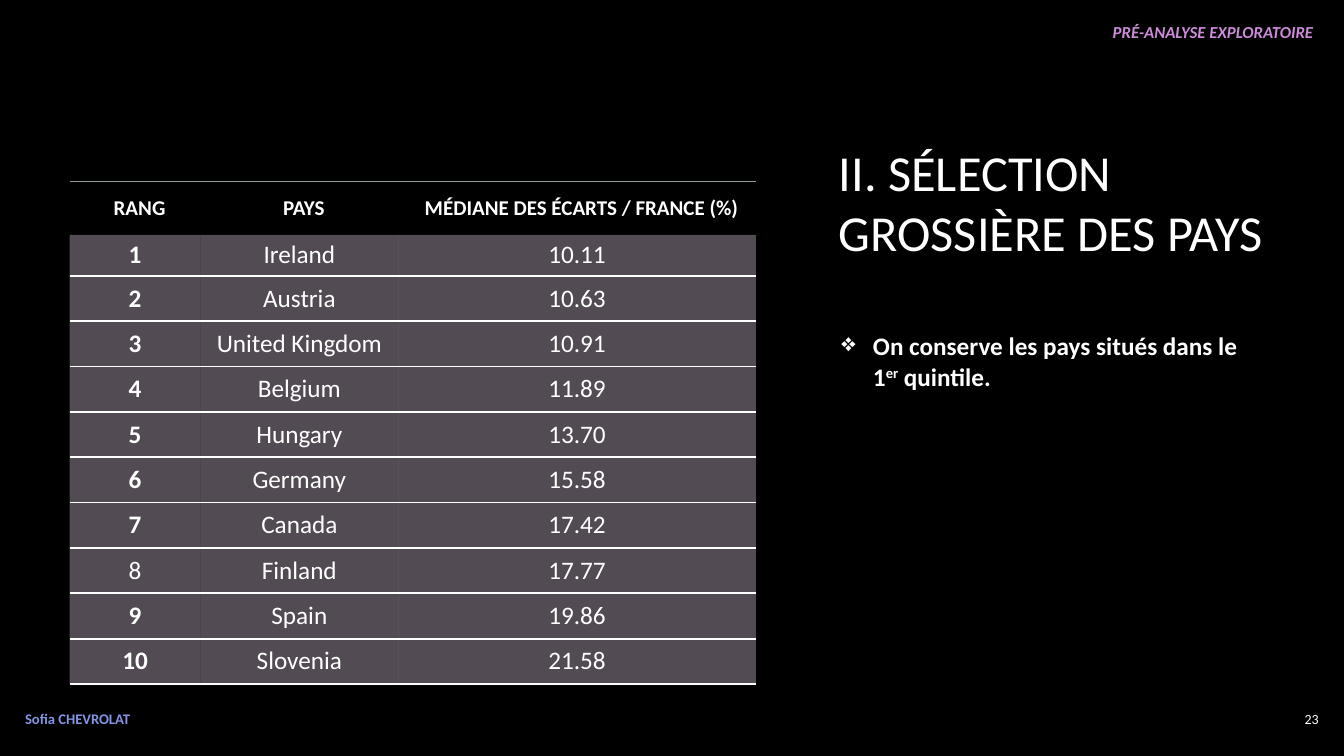
"""Build the slide that ranks the ten countries closest to France."""
from lxml import etree
from pptx import Presentation
from pptx.dml.color import RGBColor
from pptx.enum import text as t
from pptx.oxml import ns
from pptx.util import Pt

BLACK = RGBColor(0x00, 0x00, 0x00)
WHITE = RGBColor(0xFF, 0xFF, 0xFF)
MAUVE = RGBColor(0xEE, 0xD8, 0xF3)
SLATE = RGBColor(0x8F, 0x9A, 0x9D)
ORCHID = RGBColor(0xCD, 0x8B, 0xDA)
PERIWINKLE = RGBColor(0x83, 0x94, 0xE4)
LEFT, CENTER, RIGHT = t.PP_ALIGN.LEFT, t.PP_ALIGN.CENTER, t.PP_ALIGN.RIGHT
TOP, MIDDLE = t.MSO_ANCHOR.TOP, t.MSO_ANCHOR.MIDDLE
PLAIN_TABLE = "{2D5ABB26-0587-4C30-8999-92F81FD0307C}"

HEADINGS = ("RANG", "PAYS", "MÉDIANE DES ÉCARTS / FRANCE (%)")
COUNTRIES = (
    ("Ireland", "10.11"), ("Austria", "10.63"), ("United Kingdom", "10.91"),
    ("Belgium", "11.89"), ("Hungary", "13.70"), ("Germany", "15.58"),
    ("Canada", "17.42"), ("Finland", "17.77"), ("Spain", "19.86"),
    ("Slovenia", "21.58"),
)
LIGHT_RANK = 8
COLUMN_WIDTHS = (93.6, 141.1, 255.6)
HEADING_HEIGHT, FIRST_HEIGHT, ROW_HEIGHT = 38.2, 28.8, 32.4


def apply(target, values):
    """Set each attribute of target from a dict."""
    for name, value in values.items():
        setattr(target, name, value)


def add_run(paragraph, wording, size, color=WHITE, **styles):
    """Append a formatted run to a paragraph."""
    run = paragraph.add_run()
    run.text = wording
    apply(run.font, {"name": "Calibri", "size": Pt(size), **styles})
    run.font.color.rgb = color
    return run


def add_label(slide, box, align=LEFT, anchor=TOP):
    """Add a wrapping text box and return its first paragraph."""
    frame = slide.shapes.add_textbox(*map(Pt, box)).text_frame
    apply(frame, {"word_wrap": True, "vertical_anchor": anchor})
    frame.paragraphs[0].alignment = align
    return frame.paragraphs[0]


def set_border(cell, side, color, alpha=100):
    """Draw a 1.5 pt line on one side of a cell."""
    line = etree.Element(ns.qn(f"a:{side}"), w=str(Pt(1.5)))
    solid = etree.SubElement(line, ns.qn("a:solidFill"))
    shade = etree.SubElement(solid, ns.qn("a:srgbClr"), val=str(color))
    etree.SubElement(shade, ns.qn("a:alpha"), val=str(alpha * 1000))
    cell._tc.get_or_add_tcPr().insert(0, line)


def fill_cell(cell, color, alpha):
    """Give a cell a see-through fill."""
    cell.fill.solid()
    cell.fill.fore_color.rgb = color
    shade = cell._tc.tcPr.find(f".//{ns.qn('a:solidFill')}/{ns.qn('a:srgbClr')}")
    etree.SubElement(shade, ns.qn("a:alpha"), val=str(alpha * 1000))


def write_cell(cell, wording, size, bold):
    """Write centred text in a cell."""
    cell.vertical_anchor = MIDDLE
    paragraph = cell.text_frame.paragraphs[0]
    paragraph.alignment = CENTER
    add_run(paragraph, wording, size, bold=bold)


def add_ranking(slide):
    """Add the table of countries by median gap."""
    heights = [HEADING_HEIGHT, FIRST_HEIGHT] + [ROW_HEIGHT] * (len(COUNTRIES) - 1)
    frame = slide.shapes.add_table(
        len(heights), len(HEADINGS), Pt(49.7), Pt(129.6),
        Pt(sum(COLUMN_WIDTHS)), Pt(sum(heights)))
    ranking = frame.table
    ranking.horz_banding = False
    ranking._tbl.tblPr.find(ns.qn("a:tableStyleId")).text = PLAIN_TABLE
    for column, width in zip(ranking.columns, COLUMN_WIDTHS):
        column.width = Pt(width)
    for row, height in zip(ranking.rows, heights):
        row.height = Pt(height)
    for cell, heading in zip(ranking.rows[0].cells, HEADINGS):
        apply(cell, {"margin_left": Pt(15), "margin_right": Pt(8.6),
                     "margin_top": Pt(8.6), "margin_bottom": Pt(8.6)})
        write_cell(cell, heading, 15, True)
        cell.fill.background()
        set_border(cell, "lnT", SLATE, 60)
    for rank, country in enumerate(COUNTRIES, 1):
        for column, wording in enumerate((str(rank), *country)):
            cell = ranking.cell(rank, column)
            write_cell(cell, wording, 18, column == 0 and rank != LIGHT_RANK)
            fill_cell(cell, MAUVE, 35)
            set_border(cell, "lnB", WHITE)


def add_title(slide):
    """Place and format the title placeholder."""
    title = slide.shapes.title
    apply(title, {"left": Pt(592), "top": Pt(48.2),
                  "width": Pt(330), "height": Pt(191)})
    apply(title.text_frame, {"word_wrap": True, "vertical_anchor": MIDDLE,
                             "auto_size": t.MSO_AUTO_SIZE.NONE})
    paragraph = title.text_frame.paragraphs[0]
    paragraph.alignment = LEFT
    add_run(paragraph, "II. SÉLECTION GROSSIÈRE DES PAYS", 36)


def add_criterion(slide):
    """Add the bulleted selection rule."""
    paragraph = add_label(slide, (594, 232.6, 316, 191))
    paragraph.space_after = Pt(10)
    properties = paragraph._p.get_or_add_pPr()
    properties.set("marL", str(Pt(22.5)))
    properties.set("indent", str(-Pt(22.5)))
    color = etree.SubElement(properties, ns.qn("a:buClr"))
    etree.SubElement(color, ns.qn("a:srgbClr"), val=str(WHITE))
    etree.SubElement(properties, ns.qn("a:buChar"), char="❖")
    add_run(paragraph, "On conserve les pays situés dans le 1", 18, bold=True)
    ordinal = add_run(paragraph, "er", 18, bold=True)
    ordinal._r.get_or_add_rPr().set("baseline", "30000")
    add_run(paragraph, " quintile.", 18, bold=True)


def main():
    """Build and save the presentation."""
    deck = Presentation()
    apply(deck, {"slide_width": Pt(960), "slide_height": Pt(540)})
    slide = deck.slides.add_slide(deck.slide_layouts[5])
    slide.background.fill.solid()
    slide.background.fill.fore_color.rgb = BLACK
    add_title(slide)
    add_ranking(slide)
    add_criterion(slide)
    section = add_label(slide, (552.2, 12.2, 393.1, 21.8), RIGHT)
    add_run(section, "PRÉ-ANALYSE EXPLORATOIRE", 12, ORCHID, bold=True, italic=True)
    number = add_label(slide, (905.8, 498.5, 43.2, 29.5), RIGHT, MIDDLE)
    add_run(number, "23", 10)
    author = add_label(slide, (10.8, 498.5, 179.3, 29.5), LEFT, MIDDLE)
    add_run(author, "Sofia CHEVROLAT", 10.5, PERIWINKLE, bold=True)
    deck.save("out.pptx")


if __name__ == "__main__":
    main()
